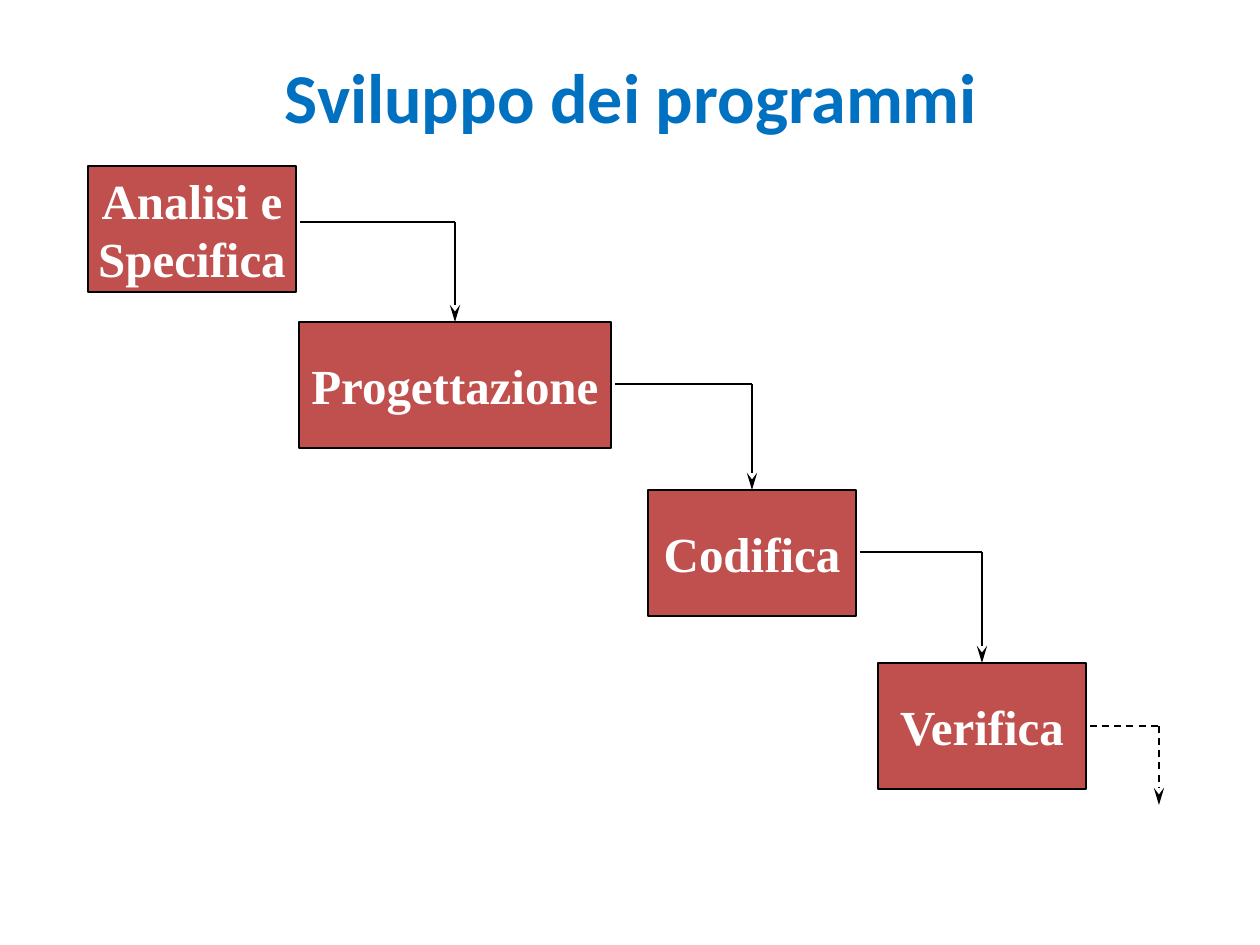
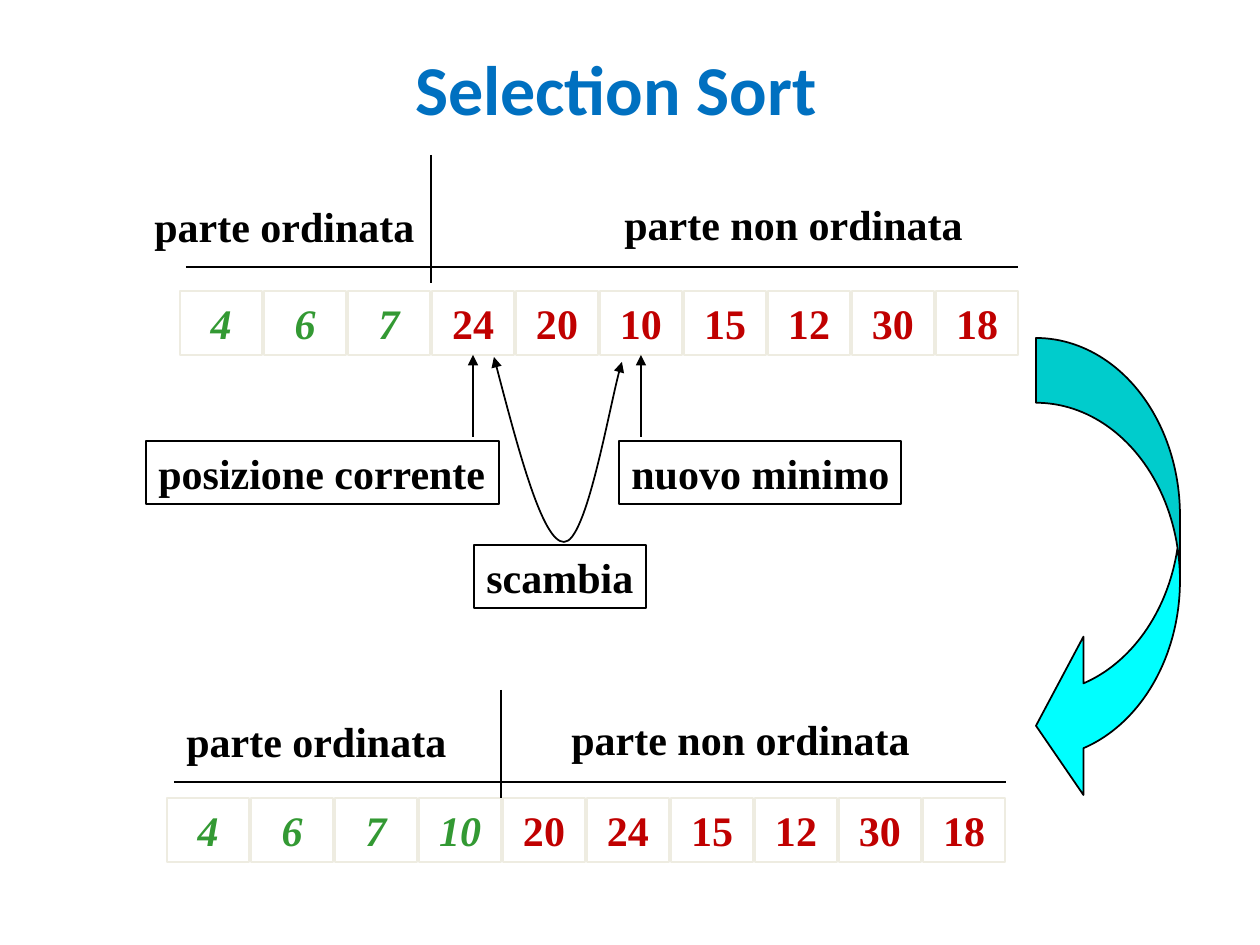
"""Build two slides on program development and selection sort."""
from dataclasses import dataclass
from itertools import pairwise

import pptx
import pptx.dml.color
import pptx.enum.dml
import pptx.enum.shapes
import pptx.enum.text
import pptx.oxml.ns
import pptx.shapes.autoshape
import pptx.shapes.connector
import pptx.slide
import pptx.util
from lxml import etree

EMU_PER_PX = 914400 / 126
BLACK = pptx.dml.color.RGBColor(0x00, 0x00, 0x00)
WHITE = pptx.dml.color.RGBColor(0xFF, 0xFF, 0xFF)
TITLE_BLUE = pptx.dml.color.RGBColor(0x00, 0x70, 0xC0)
PHASE_RED = pptx.dml.color.RGBColor(0xC0, 0x50, 0x4D)
CELL_BORDER = pptx.dml.color.RGBColor(0xEE, 0xEC, 0xE1)
SORTED_GREEN = pptx.dml.color.RGBColor(0x33, 0x99, 0x33)
UNSORTED_RED = pptx.dml.color.RGBColor(0xC0, 0x00, 0x00)
CYAN = pptx.dml.color.RGBColor(0x00, 0xFF, 0xFF)
SERIF = "Times New Roman"
CELL_PITCH, CELL_WIDTH, CELL_HEIGHT = 84, 82, 64
AXIS_LENGTH = 832
LABEL_HEIGHT = 63
PHASE_HEIGHT = 126
LINE_GAP = 4
ALIGN = pptx.enum.text.PP_ALIGN
ANCHOR = pptx.enum.text.MSO_ANCHOR
PRESET = pptx.enum.shapes.MSO_SHAPE


@dataclass(frozen=True)
class Box:
    """A rectangle in px."""

    x: int
    y: int
    width: int
    height: int

    def emu(self) -> tuple[int, int, int, int]:
        """Return left, top, width and height in EMU."""
        return px(self.x), px(self.y), px(self.width), px(self.height)


@dataclass(frozen=True)
class TextStyle:
    """The look of a text block."""

    size: int
    color: pptx.dml.color.RGBColor
    italic: bool = False
    align: ALIGN = ALIGN.LEFT
    anchor: ANCHOR = ANCHOR.TOP
    font: str = SERIF


@dataclass(frozen=True)
class Phase:
    """A phase of development and the height at which its line leaves."""

    text: str
    x: int
    y: int
    width: int
    exit_y: int

    @property
    def center(self) -> int:
        """Return the horizontal middle."""
        return self.x + self.width // 2

    @property
    def exit_x(self) -> int:
        """Return where the outgoing line starts."""
        return self.x + self.width + LINE_GAP


@dataclass(frozen=True)
class ArrayState:
    """An array with its sorted and unsorted parts."""

    values: tuple[int, ...]
    sorted_count: int
    x: int
    y: int
    axis_x: int
    axis_y: int
    divider_x: int
    divider_top: int
    divider_bottom: int
    sorted_label: Box
    unsorted_label: Box


TITLE = TextStyle(40, TITLE_BLUE, align=ALIGN.CENTER, anchor=ANCHOR.MIDDLE, font="Calibri")
PHASE = TextStyle(28, WHITE, align=ALIGN.CENTER, anchor=ANCHOR.MIDDLE)
SORTED = TextStyle(24, SORTED_GREEN, True, ALIGN.CENTER, ANCHOR.MIDDLE)
UNSORTED = TextStyle(24, UNSORTED_RED, False, ALIGN.CENTER, ANCHOR.MIDDLE)
LABEL = TextStyle(24, BLACK)

PHASES = (
    Phase("Analisi e\nSpecifica", 88, 166, 208, 222),
    Phase("Progettazione", 299, 322, 312, 384),
    Phase("Codifica", 648, 490, 208, 552),
    Phase("Verifica", 878, 663, 208, 726),
)
BEFORE = ArrayState(
    (4, 6, 7, 24, 20, 10, 15, 12, 30, 18), 3, 180, 291, 186, 267, 431, 155, 283,
    Box(142, 194, 288, LABEL_HEIGHT), Box(612, 192, 370, LABEL_HEIGHT),
)
AFTER = ArrayState(
    (4, 6, 7, 10, 20, 24, 15, 12, 30, 18), 4, 167, 798, 174, 782, 501, 690, 798,
    Box(174, 709, 288, LABEL_HEIGHT), Box(559, 707, 370, LABEL_HEIGHT),
)
CALLOUTS = (
    ("posizione corrente", Box(146, 441, 353, LABEL_HEIGHT)),
    ("nuovo minimo", Box(619, 441, 282, LABEL_HEIGHT)),
    ("scambia", Box(474, 545, 172, LABEL_HEIGHT)),
)
POINTED_VALUES = (24, 10)
SWAP_START = (494, 357)
SWAP_CURVE = ((518, 449), (543, 542), (564, 542), (586, 543), (612, 392), (622, 362))


def px(length: int) -> int:
    """Turn px into EMU."""
    return round(length * EMU_PER_PX)


def write(frame, text: str, style: TextStyle) -> None:
    """Fill an unwrapped text frame, one paragraph per line."""
    frame.text = text
    frame.word_wrap = False
    frame.vertical_anchor = style.anchor
    for paragraph in frame.paragraphs:
        paragraph.alignment = style.align
        paragraph.font.name = style.font
        paragraph.font.size = pptx.util.Pt(style.size)
        paragraph.font.bold = True
        paragraph.font.italic = style.italic
        paragraph.font.color.rgb = style.color


def outline(shape, color: pptx.dml.color.RGBColor = BLACK) -> None:
    """Give a shape or connector a one-point line."""
    shape.line.color.rgb = color
    shape.line.width = pptx.util.Pt(1)


def add_arrowhead(shape, end: str, kind: str) -> None:
    """Put an arrowhead on one end of a line, a long one if stealth."""
    line = shape.element.spPr.find(pptx.oxml.ns.qn("a:ln"))
    length = "lg" if kind == "stealth" else "med"
    etree.SubElement(line, pptx.oxml.ns.qn(f"a:{end}"), type=kind, w="med", len=length)


def add_titled_slide(deck, text: str, box: Box) -> pptx.slide.Slide:
    """Add a title-only slide."""
    slide = deck.slides.add_slide(deck.slide_layouts[5])
    title = slide.shapes.title
    title.left, title.top, title.width, title.height = box.emu()
    write(title.text_frame, text, TITLE)
    title.text_frame.word_wrap = True
    return slide


def add_shape(
    slide: pptx.slide.Slide,
    preset: PRESET,
    box: Box,
    fill: pptx.dml.color.RGBColor | None = None,
    border: pptx.dml.color.RGBColor = BLACK,
) -> pptx.shapes.autoshape.Shape:
    """Add a flat preset shape."""
    shape = slide.shapes.add_shape(preset, *box.emu())
    shape.shadow.inherit = False
    if fill is None:
        shape.fill.background()
    else:
        shape.fill.solid()
        shape.fill.fore_color.rgb = fill
    outline(shape, border)
    return shape


def add_text_box(
    slide: pptx.slide.Slide,
    text: str,
    box: Box,
    style: TextStyle,
    fill: pptx.dml.color.RGBColor | None = None,
    border: pptx.dml.color.RGBColor = BLACK,
) -> pptx.shapes.autoshape.Shape:
    """Add a bordered rectangle with text."""
    rectangle = add_shape(slide, PRESET.RECTANGLE, box, fill, border)
    write(rectangle.text_frame, text, style)
    return rectangle


def add_line(
    slide: pptx.slide.Slide,
    start: tuple[int, int],
    end: tuple[int, int],
    head: str | None = None,
    dashed: bool = False,
) -> pptx.shapes.connector.Connector:
    """Add a straight line, with an arrowhead at its end if asked."""
    line = slide.shapes.add_connector(
        pptx.enum.shapes.MSO_CONNECTOR.STRAIGHT, *map(px, start + end)
    )
    outline(line)
    if dashed:
        line.line.dash_style = pptx.enum.dml.MSO_LINE.DASH
    if head:
        add_arrowhead(line, "tailEnd", head)
    etree.SubElement(line.element.spPr, pptx.oxml.ns.qn("a:effectLst"))
    return line


def add_step(
    slide: pptx.slide.Slide, phase: Phase, x: int, y: int, dashed: bool = False
) -> pptx.shapes.connector.Connector:
    """Draw the way out of a phase, right and then down to a point."""
    corner = (x, phase.exit_y)
    add_line(slide, (phase.exit_x, phase.exit_y), corner, dashed=dashed)
    return add_line(slide, corner, (x, y), "stealth", dashed)


def add_array(
    slide: pptx.slide.Slide, state: ArrayState
) -> dict[int, pptx.shapes.autoshape.Shape]:
    """Draw an array with its parts and return its cells by value."""
    cells = {}
    for index, value in enumerate(state.values):
        box = Box(state.x + index * CELL_PITCH, state.y, CELL_WIDTH, CELL_HEIGHT)
        style = SORTED if index < state.sorted_count else UNSORTED
        cells[value] = add_text_box(slide, str(value), box, style, WHITE, CELL_BORDER)
    add_line(slide, (state.axis_x, state.axis_y), (state.axis_x + AXIS_LENGTH, state.axis_y))
    add_line(
        slide, (state.divider_x, state.divider_top), (state.divider_x, state.divider_bottom)
    )
    for text, box in (
        ("parte ordinata", state.sorted_label),
        ("parte non ordinata", state.unsorted_label),
    ):
        write(slide.shapes.add_textbox(*box.emu()).text_frame, text, LABEL)
    return cells


def add_swap_curve(slide: pptx.slide.Slide) -> None:
    """Draw the two-headed curve between the swapped cells."""
    builder = slide.shapes.build_freeform(*SWAP_START, scale=EMU_PER_PX)
    builder.add_line_segments(SWAP_CURVE, close=False)
    curve = builder.convert_to_shape()
    segments = list(curve.element.iter(pptx.oxml.ns.qn("a:lnTo")))
    for first in range(0, len(segments), 3):
        bezier = etree.SubElement(
            segments[first].getparent(), pptx.oxml.ns.qn("a:cubicBezTo")
        )
        for segment in segments[first:first + 3]:
            bezier.append(segment[0])
            segment.getparent().remove(segment)
    curve.shadow.inherit = False
    curve.fill.background()
    outline(curve)
    for end in ("headEnd", "tailEnd"):
        add_arrowhead(curve, end, "triangle")


def build_development(deck) -> None:
    """Build the cascade of development phases."""
    slide = add_titled_slide(deck, "Sviluppo dei programmi", Box(131, 40, 1000, 111))
    boxes = [
        add_text_box(
            slide, phase.text, Box(phase.x, phase.y, phase.width, PHASE_HEIGHT), PHASE, PHASE_RED
        )
        for phase in PHASES
    ]
    for (phase, following), target in zip(pairwise(PHASES), boxes[1:]):
        add_step(slide, phase, following.center, following.y).end_connect(target, 0)
    add_step(slide, PHASES[-1], 1159, 805, dashed=True)


def build_selection_sort(deck) -> None:
    """Build one step of selection sort."""
    slide = add_titled_slide(deck, "Selection Sort", Box(73, 32, 1086, 111))
    cells = add_array(slide, BEFORE)
    for text, box in CALLOUTS:
        add_text_box(slide, text, box, LABEL)
    for value in POINTED_VALUES:
        x = BEFORE.x + BEFORE.values.index(value) * CELL_PITCH + CELL_WIDTH // 2
        pointer = add_line(slide, (x, 437), (x, BEFORE.y + CELL_HEIGHT), "triangle")
        pointer.end_connect(cells[value], 2)
    add_swap_curve(slide)
    add_array(slide, AFTER)
    next_step = add_shape(slide, PRESET.CURVED_LEFT_ARROW, Box(1036, 338, 144, 467), CYAN)
    for index, ratio in enumerate((0.45, 1.1, 0.33)):
        next_step.adjustments[index] = ratio


def main() -> None:
    """Build and save the deck."""
    deck = pptx.Presentation()
    deck.slide_width, deck.slide_height = px(1260), px(945)
    build_development(deck)
    build_selection_sort(deck)
    deck.save("out.pptx")


if __name__ == "__main__":
    main()
